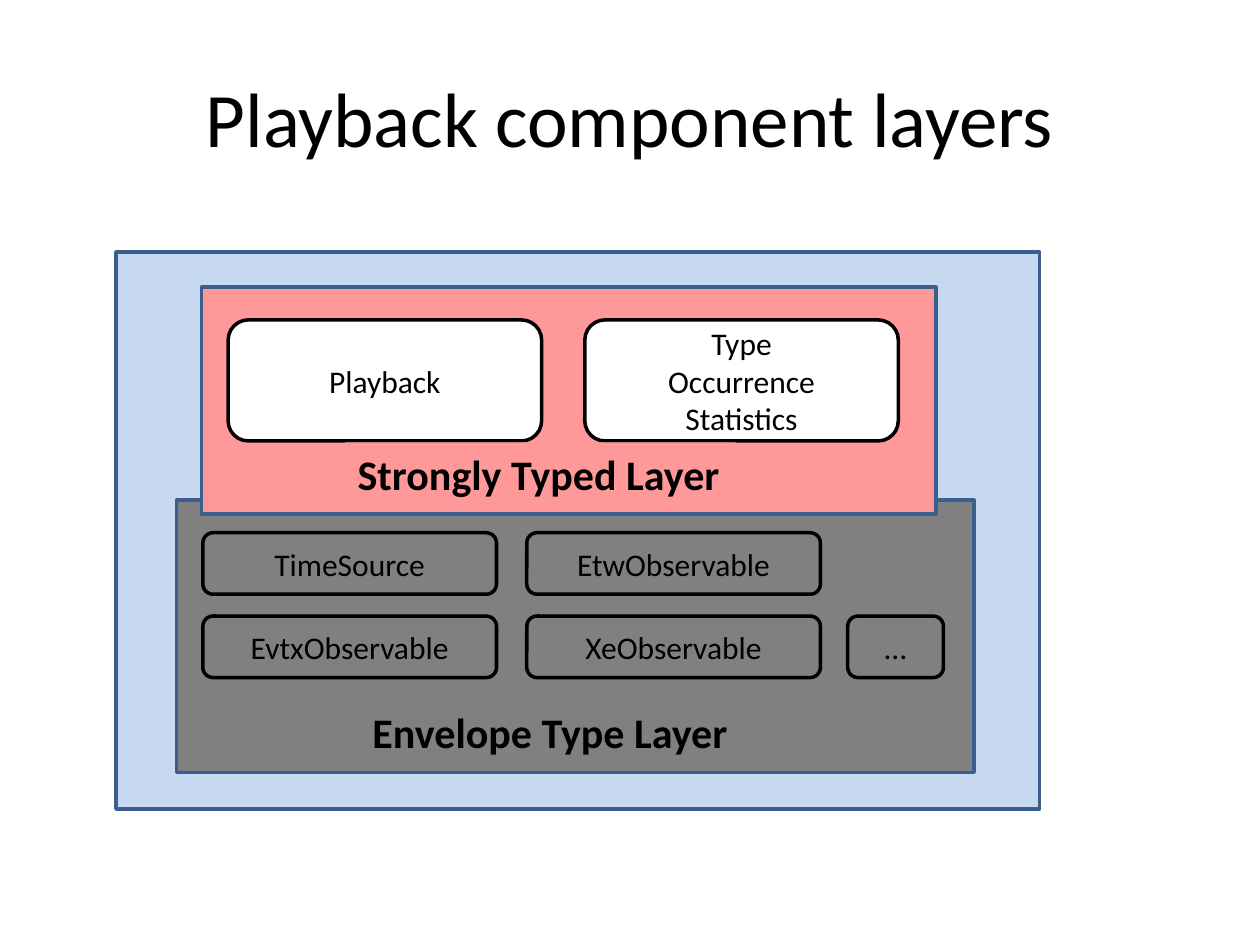
from dataclasses import dataclass

from pptx import Presentation
from pptx.dml.color import RGBColor
from pptx.enum.shapes import MSO_SHAPE as Preset
from pptx.enum.text import MSO_ANCHOR as Anchor, MSO_AUTO_SIZE as AutoSize, PP_ALIGN as Align
from pptx.shapes.shapetree import GroupShapes
from pptx.text.text import TextFrame
from pptx.util import Cm, Pt

BLACK = RGBColor(0x00, 0x00, 0x00)
WHITE = RGBColor(0xFF, 0xFF, 0xFF)
GRAY = RGBColor(0x80, 0x80, 0x80)
PINK = RGBColor(0xFF, 0x99, 0x99)
PALE_BLUE = RGBColor(0xC6, 0xD9, 0xF1)
BORDER_BLUE = RGBColor(0x3A, 0x5F, 0x8C)
FONT = "Calibri"


@dataclass(frozen=True)
class Box:
    left: float
    top: float
    width: float
    height: float
    fill: RGBColor
    text: str = ""


@dataclass(frozen=True)
class Layer:
    panel: Box
    label: Box
    components: tuple[Box, ...]


def write_text(frame: TextFrame, text: str, size: int, align: Align, bold: bool = False) -> None:
    for index, line in enumerate(text.split("\n")):
        paragraph = frame.paragraphs[0] if index == 0 else frame.add_paragraph()
        paragraph.alignment = align
        run = paragraph.add_run()
        run.text = line
        run.font.name = FONT
        run.font.size = Pt(size)
        run.font.bold = bold
        run.font.color.rgb = BLACK


def draw_box(shapes: GroupShapes, box: Box, preset: Preset, border: RGBColor) -> None:
    shape = shapes.add_shape(preset, Cm(box.left), Cm(box.top), Cm(box.width), Cm(box.height))
    shape.shadow.inherit = False
    shape.fill.solid()
    shape.fill.fore_color.rgb = box.fill
    shape.line.color.rgb = border
    shape.line.width = Pt(2)
    if box.text:
        shape.text_frame.vertical_anchor = Anchor.MIDDLE
        write_text(shape.text_frame, box.text, 18, Align.CENTER)


def draw_label(shapes: GroupShapes, box: Box) -> None:
    label = shapes.add_textbox(Cm(box.left), Cm(box.top), Cm(box.width), Cm(box.height))
    label.fill.solid()
    label.fill.fore_color.rgb = box.fill
    label.text_frame.word_wrap = False
    label.text_frame.auto_size = AutoSize.SHAPE_TO_FIT_TEXT
    write_text(label.text_frame, box.text, 24, Align.LEFT, bold=True)


def draw_layer(shapes: GroupShapes, layer: Layer) -> None:
    draw_box(shapes, layer.panel, Preset.RECTANGLE, BORDER_BLUE)
    for component in layer.components:
        draw_box(shapes, component, Preset.ROUNDED_RECTANGLE, BLACK)
    draw_label(shapes, layer.label)


SOURCE_ROWS = (("TimeSource", "EtwObservable"), ("EvtxObservable", "XeObservable", "…"))
SOURCE_COLUMNS = ((4.09, 5.92), (10.62, 5.92), (17.09, 1.93))
CARDS = ("Playback", "Type\nOccurrence\nStatistics")

BACKGROUND = Box(2.34, 5.08, 18.62, 11.23, PALE_BLUE)
LAYERS = (
    Layer(
        Box(3.56, 10.08, 16.08, 5.49, GRAY),
        Box(7.26, 14.12, 7.75, 1.27, GRAY, "Envelope Type Layer"),
        tuple(
            Box(left, 10.74 + row * 1.68, width, 1.24, GRAY, name)
            for row, names in enumerate(SOURCE_ROWS)
            for name, (left, width) in zip(names, SOURCE_COLUMNS)
        ),
    ),
    Layer(
        Box(4.06, 5.79, 14.81, 4.57, PINK),
        Box(6.96, 8.92, 7.87, 1.27, PINK, "Strongly Typed Layer"),
        tuple(
            Box(4.6 + column * 7.19, 6.45, 6.32, 2.44, WHITE, name)
            for column, name in enumerate(CARDS)
        ),
    ),
)

presentation = Presentation()
presentation.slide_width = Cm(25.4)
presentation.slide_height = Cm(19.05)
slide = presentation.slides.add_slide(presentation.slide_layouts[5])

title = slide.shapes.title
title.left, title.top, title.width, title.height = Cm(1.27), Cm(0.76), Cm(22.86), Cm(3.18)
title.text_frame.vertical_anchor = Anchor.MIDDLE
write_text(title.text_frame, "Playback component layers", 44, Align.CENTER)

diagram = slide.shapes.add_group_shape()
draw_box(diagram.shapes, BACKGROUND, Preset.RECTANGLE, BORDER_BLUE)
for layer in LAYERS:
    draw_layer(diagram.shapes, layer)

presentation.save("out.pptx")
